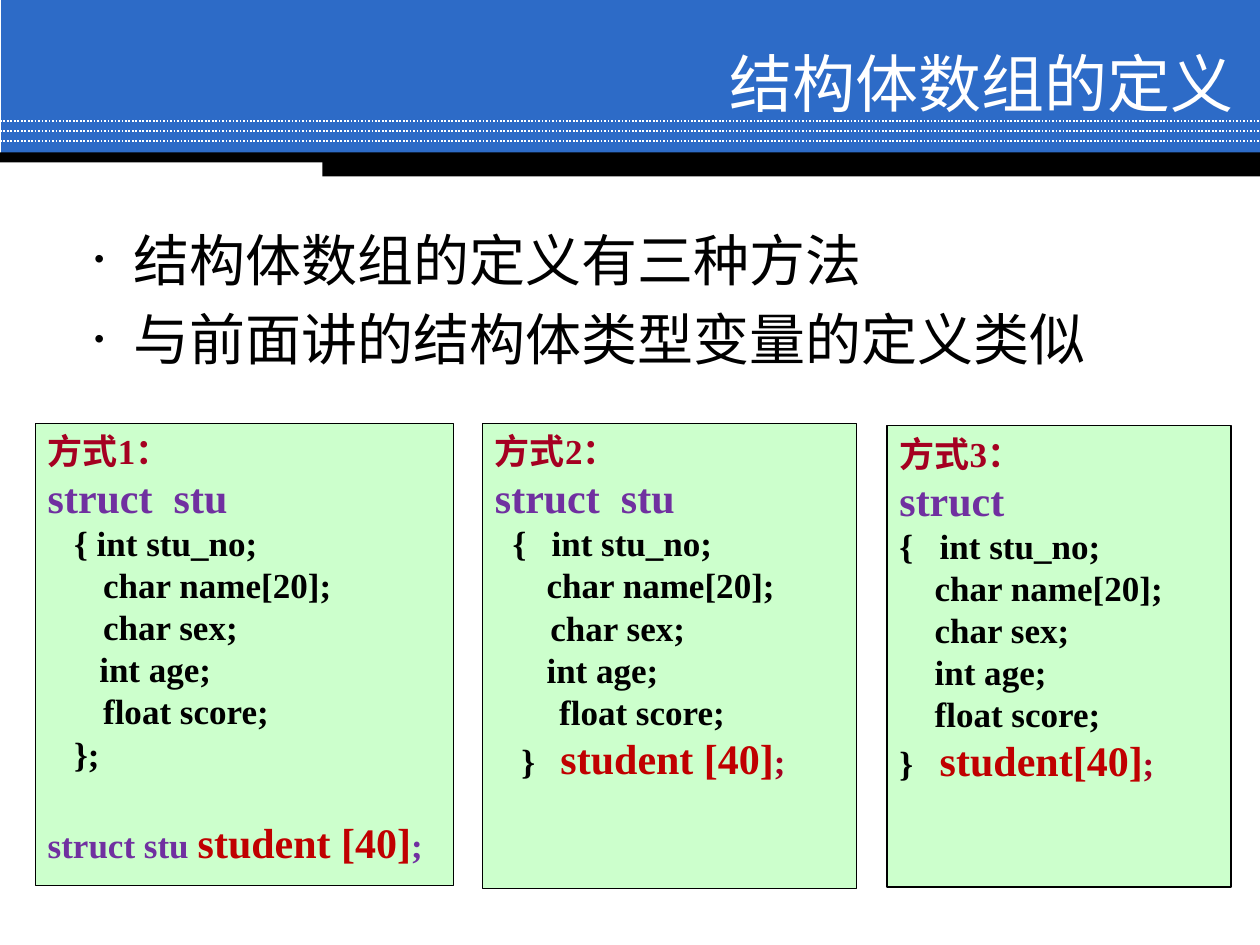
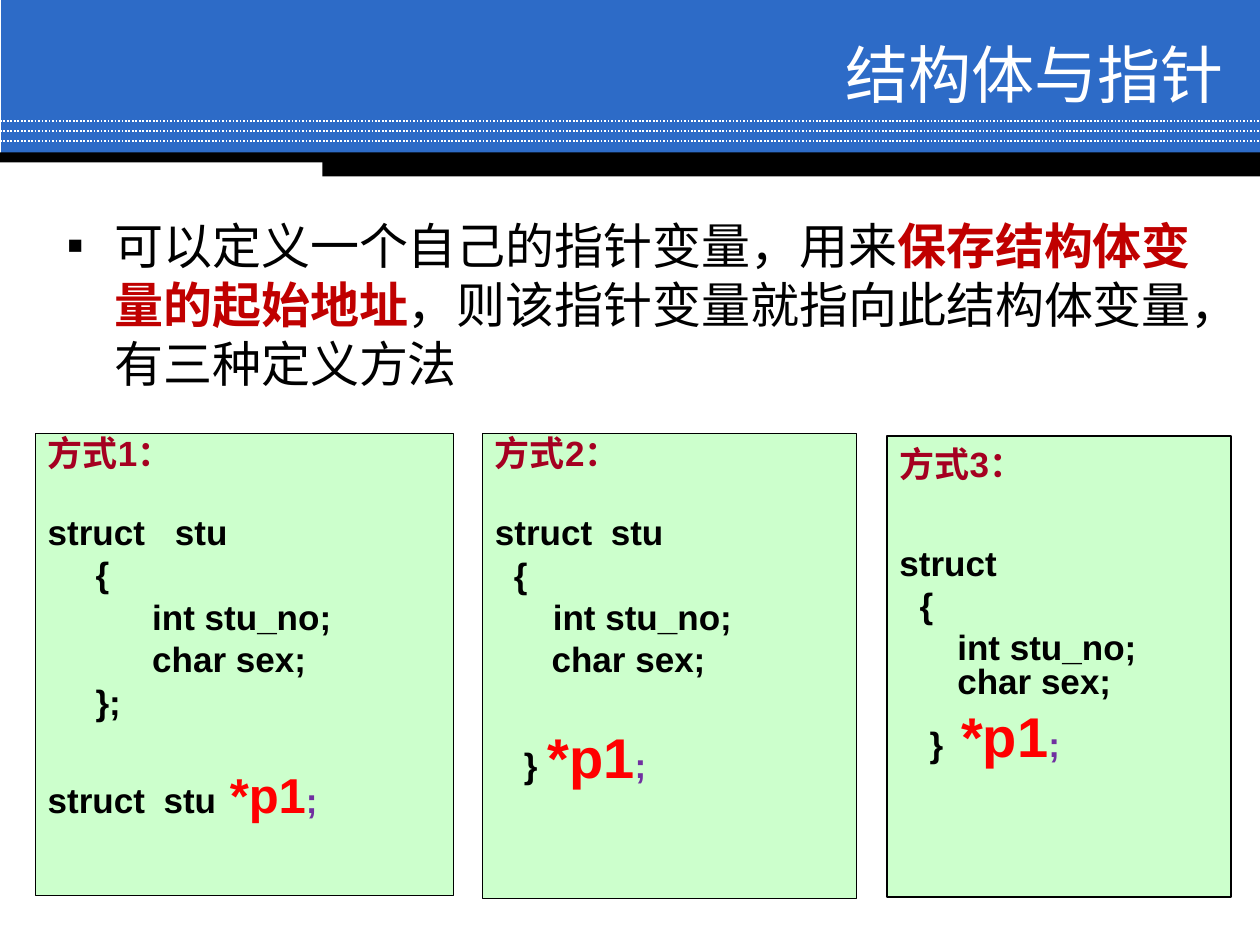
from lxml import etree
from pptx import Presentation
from pptx.dml.color import RGBColor
from pptx.enum.dml import MSO_LINE
from pptx.enum.shapes import MSO_CONNECTOR, MSO_SHAPE
from pptx.enum.text import MSO_ANCHOR, MSO_AUTO_SIZE, PP_ALIGN
from pptx.oxml.ns import qn
from pptx.util import Inches, Pt

RECT = MSO_SHAPE.RECTANGLE
STRAIGHT = MSO_CONNECTOR.STRAIGHT
DOTTED = MSO_LINE.ROUND_DOT
TOP, MIDDLE = MSO_ANCHOR.TOP, MSO_ANCHOR.MIDDLE
RIGHT = PP_ALIGN.RIGHT
NO_FIT = MSO_AUTO_SIZE.NONE

BLUE, BLACK, WHITE, MINT = "2D6BC7", "000000", "FFFFFF", "CCFFCC"
CRIMSON, PURPLE, RED, BRIGHT = "A50021", "7030A0", "C00000", "FF0000"
CJK, SERIF, SANS = "Noto Sans CJK SC", "Times New Roman", "Arial"

BANDS = [(0.01, 0, 9.99, 1.23, BLUE), (0, 1.21, 10, 0.08, BLACK),
         (2.56, 1.24, 7.44, 0.16, BLACK)]
DOTTED_LINES = [0.96, 1.04, 1.12]
BOXES = [(0.28, 0, 3.32, 3.67), (3.83, 0, 2.97, 3.69), (7.04, 0.02, 2.73, 3.66)]

STYLES = {
    "head": (20, CRIMSON, True), "code": (20, BLACK, True),
    "key": (24, PURPLE, True), "small key": (20, PURPLE, True),
    "array": (24, RED, True), "end": (20, CRIMSON, True),
    "pointer": (28, BRIGHT, True), "big pointer": (32, BRIGHT, True),
    "bullet": (32, BLACK, False), "lead": (28, BLACK, False),
    "strong": (28, RED, True), "title": (36, WHITE, False),
}


def line(start, *runs, hang=None, before=None, spacing=None):
    runs = [(r, "code") if isinstance(r, str) else r for r in runs]
    return dict(start=start, hang=start if hang is None else hang,
                before=before, spacing=spacing, runs=runs)


def head(number):
    return line(0, (f"方式{number}：", "head"), before=0)


SLIDES = [
    dict(
        title="结构体数组的定义", title_at=(2.97, 0.36, 6.92, 0.58), title_font=SANS,
        intro_at=(0.15, 1.74, 9.65, 1.46), intro_font=SERIF, bullet=("•", 50),
        intro=[line(0.5, ("结构体数组的定义有三种方法", "bullet"), hang=0.81, before=7),
               line(0.5, ("与前面讲的结构体类型变量的定义类似", "bullet"), hang=0.81, before=7)],
        top=3.36, font=SERIF, before=0, spacing=1,
        boxes=[
            [head(1), line(0, ("struct\tstu", "key"), hang=1),
             line(0.21, "{ int stu_no;"), line(0.44, "char name[20];"),
             line(0.44, "char sex;"), line(0.41, "int age;"),
             line(0.44, "float score;"), line(0.21, "};"),
             line(0, ("struct stu ", "small key"), ("student [40]", "array"),
                  (";", "small key"), before=24)],
            [head(2), line(0, ("struct\tstu", "key"), hang=1),
             line(0.14, "{\tint stu_no;", hang=0.45), line(0.41, "char name[20];"),
             line(0.44, "char sex;"), line(0.41, "int age;"),
             line(0.51, "float score;"),
             line(0.21, "}\t", ("student [40]", "array"), (";", "end"), hang=0.52)],
            [head(3), line(0, ("struct", "key")),
             line(0, "{\tint stu_no;", hang=0.32), line(0.28, "char name[20];"),
             line(0.28, "char sex;"), line(0.28, "int age;"),
             line(0.28, "float score;"),
             line(0, "}\t", ("student[40]", "array"), (";", "end"), hang=0.32)],
        ]),
    dict(
        title="结构体与指针", title_at=(2.89, 0.29, 6.92, 0.58), title_font=CJK,
        intro_at=(0.43, 1.66, 9.13, 1.78), intro_font=SANS, bullet=("▪", 100),
        intro=[line(0, ("可以定义一个自己的指针变量，用来", "lead"),
                    ("保存结构体变量的起始地址", "strong"),
                    ("，则该指针变量就指向此结构体变量，有三种定义方法", "lead"), hang=0.38)],
        top=3.44, font=SANS, before=5, spacing=0.8,
        boxes=[
            [head(1), line(0, "struct\tstu", hang=1.01, before=26),
             line(0.38, "{"), line(0.83, "int stu_no;"), line(0.83, "char sex;"),
             line(0.38, "};"),
             line(0, "struct\tstu", (" *p1", "pointer"), (";", "small key"),
                  hang=0.92, before=31)],
            [head(2), line(0, "struct\tstu", hang=0.92, before=26),
             line(0.15, "{"), line(0.46, "int stu_no;"), line(0.45, "char sex;"),
             line(0.23, "} ", ("*p1", "big pointer"), (";", "small key"), before=32)],
            [dict(head(3), spacing=1), line(0, "struct", before=33, spacing=1),
             line(0.16, "{", before=0, spacing=1),
             line(0.46, "int stu_no;", before=0, spacing=1),
             line(0.46, "char sex;", before=0),
             line(0.24, "}\t", ("*p1", "big pointer"), (";", "small key"),
                  hang=0.49, before=0, spacing=1)],
        ]),
]


def color(value):
    return RGBColor.from_string(value)


def style(r, name, font):
    size, fill, bold = STYLES[name]
    r.font.size, r.font.bold, r.font.name = Pt(size), bold, font
    r.font.color.rgb = color(fill)
    ea = etree.SubElement(r.font._element, qn("a:ea"))
    ea.set("typeface", CJK)


def add_rect(s, x, y, w, h, fill, outline=None):
    sp = s.shapes.add_shape(RECT, Inches(x), Inches(y), Inches(w), Inches(h))
    sp.shadow.inherit = False
    sp.fill.solid()
    sp.fill.fore_color.rgb = color(fill)
    if outline:
        sp.line.color.rgb = color(outline)
        sp.line.width = Pt(0.75)
    else:
        sp.line.fill.background()
    return sp


def write(tf, lines, font, before=0, spacing=1, bullet=None):
    tf.word_wrap = True
    tf.vertical_anchor = TOP
    for i, item in enumerate(lines):
        p = tf.paragraphs[0] if i == 0 else tf.add_paragraph()
        p.alignment = PP_ALIGN.LEFT
        p.space_before = Pt(before if item["before"] is None else item["before"])
        p.line_spacing = item["spacing"] or spacing
        pPr = p._p.get_or_add_pPr()
        pPr.set("marL", str(Inches(item["hang"])))
        pPr.set("indent", str(Inches(item["start"] - item["hang"])))
        if bullet:
            char, percent = bullet
            etree.SubElement(pPr, qn("a:buSzPct")).set("val", str(percent * 1000))
            etree.SubElement(pPr, qn("a:buFont")).set("typeface", SANS)
            etree.SubElement(pPr, qn("a:buChar")).set("char", char)
        for text, name in item["runs"]:
            r = p.add_run()
            r.text = text
            style(r, name, font)


def add_header(s, layout):
    parts = [add_rect(s, *BANDS[0])]
    for y in DOTTED_LINES:
        cn = s.shapes.add_connector(STRAIGHT, 0, Inches(y), Inches(10), Inches(y))
        cn.line.color.rgb = color(WHITE)
        cn.line.width = Pt(1)
        cn.line.dash_style = DOTTED
        etree.SubElement(cn._element.spPr, qn("a:effectLst"))
        parts.append(cn)
    parts += [add_rect(s, *band) for band in BANDS[1:]]
    for number, part in enumerate(parts, 101):
        part._element.xpath(".//p:cNvPr")[0].set("id", str(number))
        layout.shapes.element.append(part._element)


def set_title(s, text, at, font):
    sp = s.shapes.title
    sp.left, sp.top, sp.width, sp.height = map(Inches, at)
    tf = sp.text_frame
    tf.text = text
    tf.word_wrap, tf.auto_size, tf.vertical_anchor = True, NO_FIT, MIDDLE
    p = tf.paragraphs[0]
    p.alignment = RIGHT
    style(p.runs[0], "title", font)


prs = Presentation()
prs.slide_width, prs.slide_height = Inches(10), Inches(7.5)
layout = prs.slide_layouts[5]

for index, data in enumerate(SLIDES):
    s = prs.slides.add_slide(layout)
    if index == 0:
        add_header(s, layout)
    set_title(s, data["title"], data["title_at"], data["title_font"])
    tb = s.shapes.add_textbox(*map(Inches, data["intro_at"]))
    write(tb.text_frame, data["intro"], data["intro_font"], bullet=data["bullet"])
    for (x, dy, w, h), lines in zip(BOXES, data["boxes"]):
        sp = add_rect(s, x, data["top"] + dy, w, h, MINT, BLACK)
        write(sp.text_frame, lines, data["font"], data["before"], data["spacing"])

prs.save("out.pptx")
